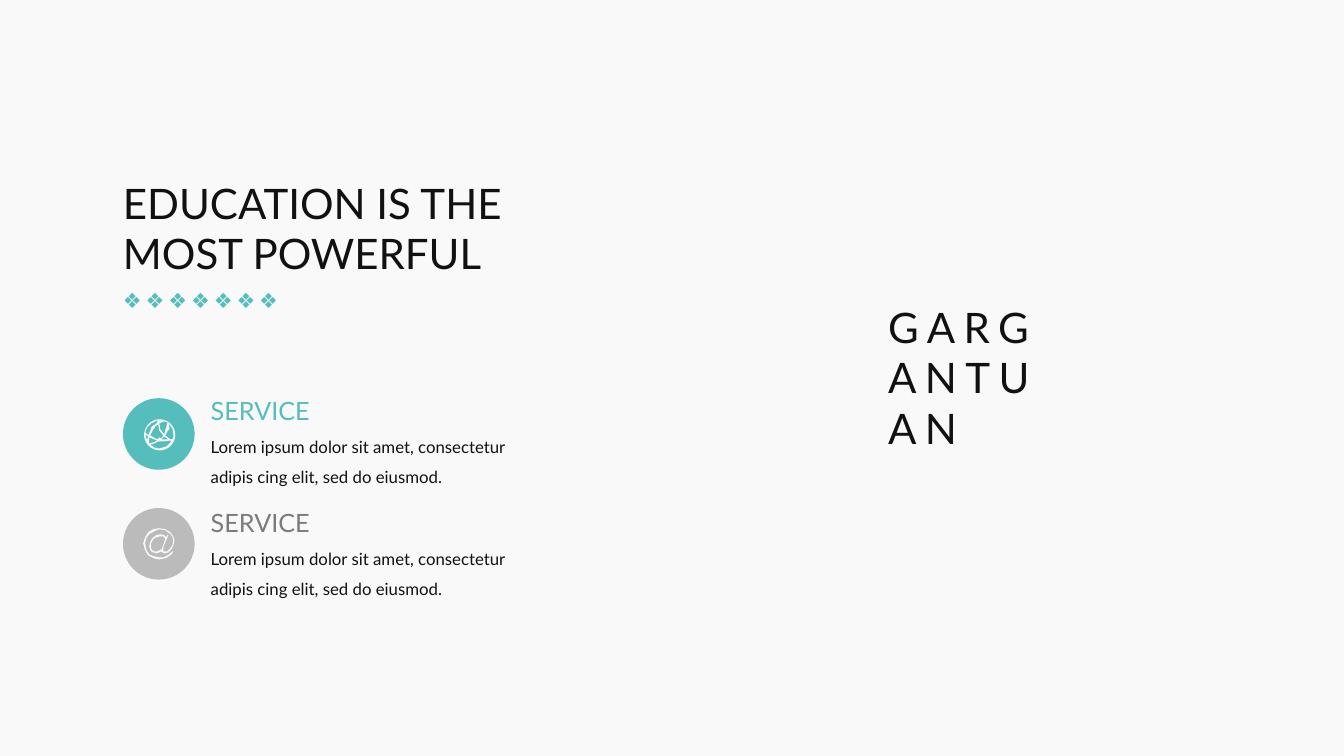
from dataclasses import dataclass
from math import cos, pi, sin

from pptx import Presentation
from pptx import util as u
from pptx.dml.color import RGBColor
from pptx.enum import shapes, text


@dataclass(frozen=True)
class Theme:
    paper: str = "F9F9F9"
    ink: str = "111111"
    teal: str = "56BDBD"
    silver: str = "BBBBBB"
    grey: str = "7C7C7C"
    face: str = "Lato"
    symbol_face: str = "Calibri"
    display: float = 30
    heading: float = 18
    ornament: float = 15
    body: float = 12


@dataclass(frozen=True)
class Area:
    """A place on a grid of 100 columns by 100 rows."""
    left: float
    top: float
    width: float
    height: float


Contour = list[tuple[float, float]]


@dataclass(frozen=True)
class Service:
    disc_top: float
    text_top: float
    disc_color: str
    heading_color: str
    icon: list[Contour]
    icon_left: float
    icon_top: float


THEME = Theme()
WIDTH, HEIGHT = u.Inches(13.33), u.Inches(7.5)
COLUMN, ROW = WIDTH / 100, HEIGHT / 100
MARGIN, TEXT_LEFT = 9.15, 15.68
ICON_DETAIL = 10  # steps within each hundredth of an inch
DIAMONDS, DIAMOND_STEP = 7, 1.69
LOREM = "Lorem ipsum dolor sit amet, consectetur adipis cing elit, sed do eiusmod."


def contour(points: str) -> Contour:
    """Read "x,y x,y ..." in hundredths of an inch."""
    return [tuple(float(n) for n in point.split(",")) for point in points.split()]


def circle(center: float, radius: float, steps: int = 48) -> Contour:
    angles = [2 * pi * step / steps for step in range(steps)]
    return [(center + radius * cos(a), center + radius * sin(a)) for a in angles]


# Icon outlines: the outer edge first, then the openings
GLOBE = [circle(15.4, 15.4)] + [contour(points) for points in (
    "26,20 21,16 23,12 25,10 25,8 24,4 28,9 29,15 29,19",
    "15,29 10,28 6,25 10,24 14,22 17,22 19,22 26,21 27,22 22,27",
    "5,24 5,18 13,21 9,23",
    "4,16 1,13 3,8 7,4 13,1 13,3 10,6 9,6 7,8 7,9",
    "4,22 2,18 1,15 4,17 3,22",
    "19,16 17,19 15,18 13,20 6,16 9,10 11,8 11,7 14,5 15,11",
    "15,1 18,1 15,2",
    "20,17 24,20 19,20 17,20",
    "23,3 23,4 22,8 21,10 21,11 20,15 16,10 15,4 20,2",
)]
AT_SIGN = [contour(points) for points in (
    "29,23 27,25 24,27 20,29 16,29 11,28 6,26 3,21 2,15 3,10 6,6 11,3 16,1"
    " 22,2 26,5 29,8 30,13 29,17 27,20 24,23 21,23 20,23 20,22 20,21 20,19"
    " 25,7 24,7 23,9 21,7 17,6 13,7 9,10 7,14 6,18 7,21 8,23 10,24 13,25"
    " 16,24 18,23 19,24 21,25 25,24 28,21 30,17 31,13 30,8 27,4 22,1 16,0"
    " 10,1 5,4 2,9 0,15 2,22 5,27 11,30 16,31 21,30 24,29 28,26 30,23",
    "18,21 16,22 14,23 11,23 9,22 8,20 8,18 8,15 10,11 13,9 17,8 20,8 22,11 19,19",
)]

SERVICES = [
    Service(52.67, 52.25, THEME.teal, THEME.teal, GLOBE, 10.73, 55.47),
    Service(67.2, 67.15, THEME.silver, THEME.grey, AT_SIGN, 10.65, 69.87),
]


def bounds(area: Area) -> tuple[int, int, int, int]:
    return (round(area.left * COLUMN), round(area.top * ROW),
            round(area.width * COLUMN), round(area.height * ROW))


def paint(shape, color: str) -> None:
    shape.shadow.inherit = False
    shape.fill.solid()
    shape.fill.fore_color.rgb = RGBColor.from_string(color)
    shape.line.fill.background()


def write(box, words: str, *, size: float, color: str = THEME.ink,
          face: str = THEME.face, wrap: bool = True, leading: float = 1.0,
          tracking: float = 0) -> None:
    frame = box.text_frame
    frame.margin_left = frame.margin_top = frame.margin_right = frame.margin_bottom = 0
    frame.auto_size = text.MSO_AUTO_SIZE.NONE
    frame.vertical_anchor = text.MSO_ANCHOR.TOP
    frame.word_wrap = wrap
    para = frame.paragraphs[0]
    para.alignment = text.PP_ALIGN.LEFT
    para.line_spacing = leading
    span = para.add_run()
    span.text = words
    span.font.name = face
    span.font.size = u.Pt(size)
    span.font.color.rgb = RGBColor.from_string(color)
    if tracking:
        span._r.get_or_add_rPr().set("spc", str(round(tracking * 100)))


def add_text(page, area: Area, words: str, **style) -> None:
    write(page.shapes.add_textbox(*bounds(area)), words, **style)


def add_shape(page, kind: shapes.MSO_SHAPE, area: Area, color: str) -> None:
    paint(page.shapes.add_shape(kind, *bounds(area)), color)


def add_icon(page, contours: list[Contour], left: float, top: float) -> None:
    scaled = [[(x * ICON_DETAIL, y * ICON_DETAIL) for x, y in line] for line in contours]
    builder = page.shapes.build_freeform(*scaled[0][0], scale=u.Inches(0.01) / ICON_DETAIL)
    for index, line in enumerate(scaled):
        if index:
            builder.move_to(*line[0])
        builder.add_line_segments(line[1:], close=True)
    paint(builder.convert_to_shape(round(left * COLUMN), round(top * ROW)), THEME.paper)


def add_service(page, service: Service) -> None:
    add_shape(page, shapes.MSO_SHAPE.OVAL,
              Area(MARGIN, service.disc_top, 5.33, 9.47), service.disc_color)
    add_icon(page, service.icon, service.icon_left, service.icon_top)
    add_text(page, Area(TEXT_LEFT, service.text_top, 8.03, 4), "SERVICE",
             size=THEME.heading, color=service.heading_color, wrap=False)
    add_text(page, Area(TEXT_LEFT, service.text_top + 4.13, 23.93, 8.13), LOREM,
             size=THEME.body, leading=1.5)


def main() -> None:
    deck = Presentation()
    deck.slide_width, deck.slide_height = WIDTH, HEIGHT
    page = deck.slides.add_slide(deck.slide_layouts.get_by_name("Title Only"))
    page.background.fill.solid()
    page.background.fill.fore_color.rgb = RGBColor.from_string(THEME.paper)

    # Title
    title = page.shapes.title
    title.left, title.top, title.width, title.height = bounds(
        Area(MARGIN, 23.47, 29.85, 13.47))
    write(title, "EDUCATION IS THE MOST POWERFUL", size=THEME.display)

    # Row of diamonds under the title
    for index in range(DIAMONDS):
        add_text(page, Area(MARGIN + index * DIAMOND_STEP, 38, 1.43, 3.33), "❖",
                 size=THEME.ornament, color=THEME.teal, face=THEME.symbol_face, wrap=False)

    # Services
    for service in SERVICES:
        add_service(page, service)

    # Panel with the spaced word
    add_shape(page, shapes.MSO_SHAPE.RECTANGLE, Area(63.3, 36.13, 16.2, 27.6), THEME.paper)
    add_text(page, Area(66.08, 39.87, 12.23, 20.13), "GARGANTUAN",
             size=THEME.display, tracking=6)

    deck.save("out.pptx")


if __name__ == "__main__":
    main()
